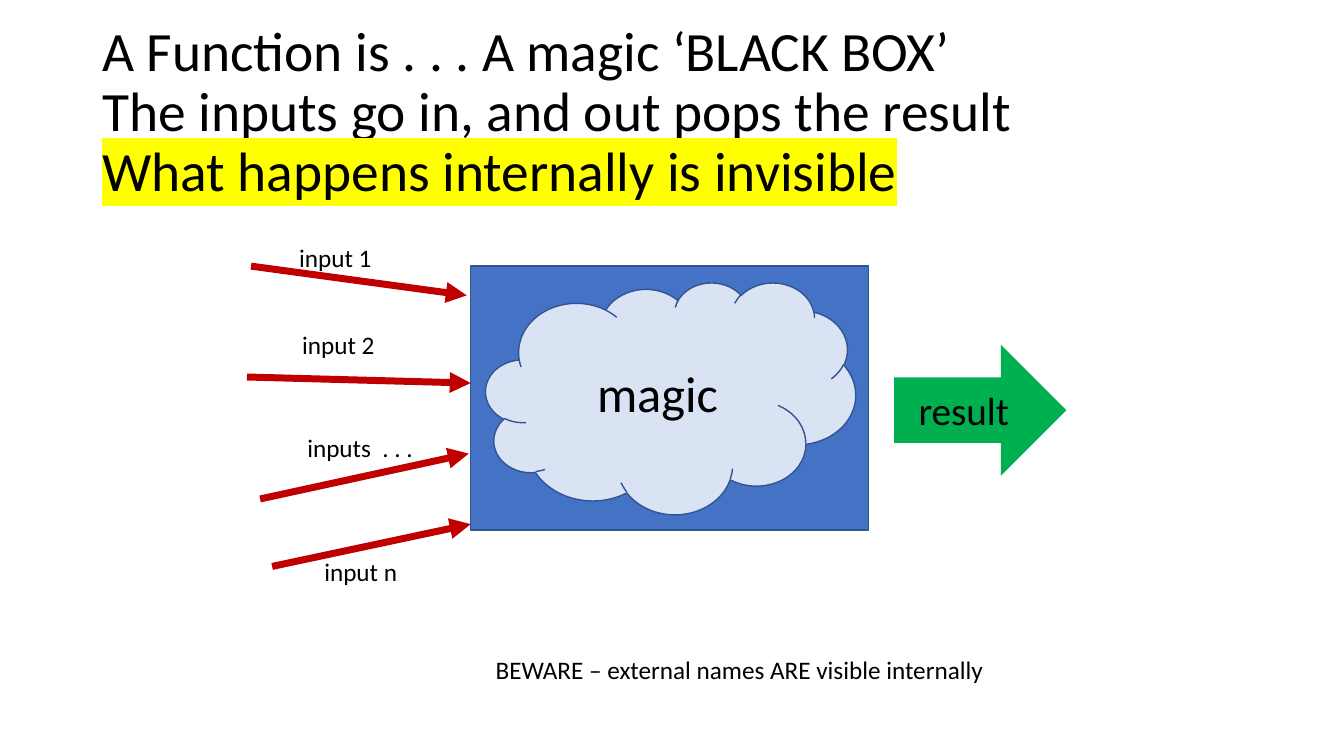
from dataclasses import dataclass
from typing import Any, Optional

import lxml.etree
import pptx
import pptx.dml.color
import pptx.enum.shapes
import pptx.enum.text
import pptx.oxml.ns
import pptx.util

Pt = pptx.util.Pt
RGB = pptx.dml.color.RGBColor
Kind = pptx.enum.shapes.MSO_SHAPE
Line = pptx.enum.shapes.MSO_CONNECTOR
Align = pptx.enum.text.PP_ALIGN
Anchor = pptx.enum.text.MSO_ANCHOR
Fit = pptx.enum.text.MSO_AUTO_SIZE
qn = pptx.oxml.ns.qn

BLACK = RGB(0x00, 0x00, 0x00)
BLUE = RGB(0x44, 0x72, 0xC4)
NAVY = RGB(0x32, 0x54, 0x91)
PALE = RGB(0xDA, 0xE3, 0xF3)
GREEN = RGB(0x00, 0xB0, 0x50)
RED = RGB(0xC0, 0x00, 0x00)
YELLOW = RGB(0xFF, 0xFF, 0x00)


@dataclass
class Block:
    kind: Any
    box: tuple[float, float, float, float]
    fill: RGB
    edge: Optional[RGB] = None
    text: str = ""
    size: float = 18


@dataclass
class Arrow:
    start: tuple[float, float]
    end: tuple[float, float]


@dataclass
class Label:
    text: str
    left: float
    top: float
    width: float


TITLE = (
    "A Function is . . . A magic ‘BLACK BOX’",
    "The inputs go in, and out pops the result",
    "What happens internally is invisible",
)
BLOCKS = (
    Block(Kind.RECTANGLE, (336.2, 190.1, 284.4, 188.6), BLUE, NAVY),
    Block(Kind.CLOUD, (347, 201.6, 264.2, 165.6), PALE, NAVY, "magic", 36),
    Block(Kind.RIGHT_ARROW, (638.6, 246.2, 123.1, 93.6), GREEN, None, "result", 28),
)
ARROWS = (
    Arrow((179.3, 190.1), (333.4, 211)),
    Arrow((176.4, 269.3), (336.2, 273.6)),
    Arrow((185.8, 356.4), (334.8, 324)),
    Arrow((194.4, 404.6), (336.2, 374.4)),
)
LABELS = (
    Label("input 1", 206.6, 169.2, 67),
    Label("input 2", 208.8, 231.8, 67),
    Label("inputs  . . .", 212.4, 305.3, 95),
    Label("input n", 224.6, 393.8, 67),
    Label("BEWARE – external names ARE visible internally", 347, 463.7, 367.2),
)


def style(item: Any, values: dict[str, Any]) -> None:
    for name, value in values.items():
        setattr(item, name, value)


def write(para: Any, text: str, size: float) -> Any:
    run = para.add_run()
    run.text = text
    style(run.font, {"name": "Calibri", "size": Pt(size)})
    run.font.color.rgb = BLACK
    return run


def mark(run: Any, color: RGB) -> None:
    """Highlight a run; the schema wants it right after the text fill."""
    glow = lxml.etree.Element(qn("a:highlight"))
    lxml.etree.SubElement(glow, qn("a:srgbClr"), val=str(color))
    run._r.find(qn("a:rPr")).find(qn("a:solidFill")).addnext(glow)


def add_title(slide: Any) -> None:
    frame = slide.shapes.add_textbox(Pt(66), Pt(28.8), Pt(828), Pt(104.4)).text_frame
    style(frame, {"word_wrap": True, "vertical_anchor": Anchor.MIDDLE})
    para = frame.paragraphs[0]
    para.line_spacing = 0.9
    for line in TITLE[:-1]:
        write(para, line, 39.6)
        para.add_line_break()
    mark(write(para, TITLE[-1], 39.6), YELLOW)


def add_block(slide: Any, block: Block) -> None:
    shape = slide.shapes.add_shape(block.kind, *map(Pt, block.box))
    shape.shadow.inherit = False
    shape.fill.solid()
    shape.fill.fore_color.rgb = block.fill
    if block.edge is None:
        shape.line.fill.background()
    else:
        shape.line.color.rgb = block.edge
        shape.line.width = Pt(1)
    if block.text:
        frame = shape.text_frame
        style(frame, {"word_wrap": True, "vertical_anchor": Anchor.MIDDLE})
        frame.paragraphs[0].alignment = Align.CENTER
        write(frame.paragraphs[0], block.text, block.size)


def add_arrow(slide: Any, arrow: Arrow) -> None:
    ends = map(Pt, arrow.start + arrow.end)
    link = slide.shapes.add_connector(Line.STRAIGHT, *ends)
    link.line.color.rgb = RED
    link.line.width = Pt(5)
    props = link._element.spPr
    lxml.etree.SubElement(props.find(qn("a:ln")), qn("a:tailEnd"), type="triangle")
    lxml.etree.SubElement(props, qn("a:effectLst"))


def add_label(slide: Any, label: Label) -> None:
    box = map(Pt, (label.left, label.top, label.width, 28.8))
    frame = slide.shapes.add_textbox(*box).text_frame
    style(frame, {"word_wrap": False, "auto_size": Fit.SHAPE_TO_FIT_TEXT})
    write(frame.paragraphs[0], label.text, 18)


def main() -> None:
    deck = pptx.Presentation()
    style(deck, {"slide_width": Pt(960), "slide_height": Pt(540)})
    slide = deck.slides.add_slide(deck.slide_layouts[6])
    add_title(slide)
    for block in BLOCKS:
        add_block(slide, block)
    for arrow in ARROWS:
        add_arrow(slide, arrow)
    for label in LABELS:
        add_label(slide, label)
    deck.save("out.pptx")


if __name__ == "__main__":
    main()
